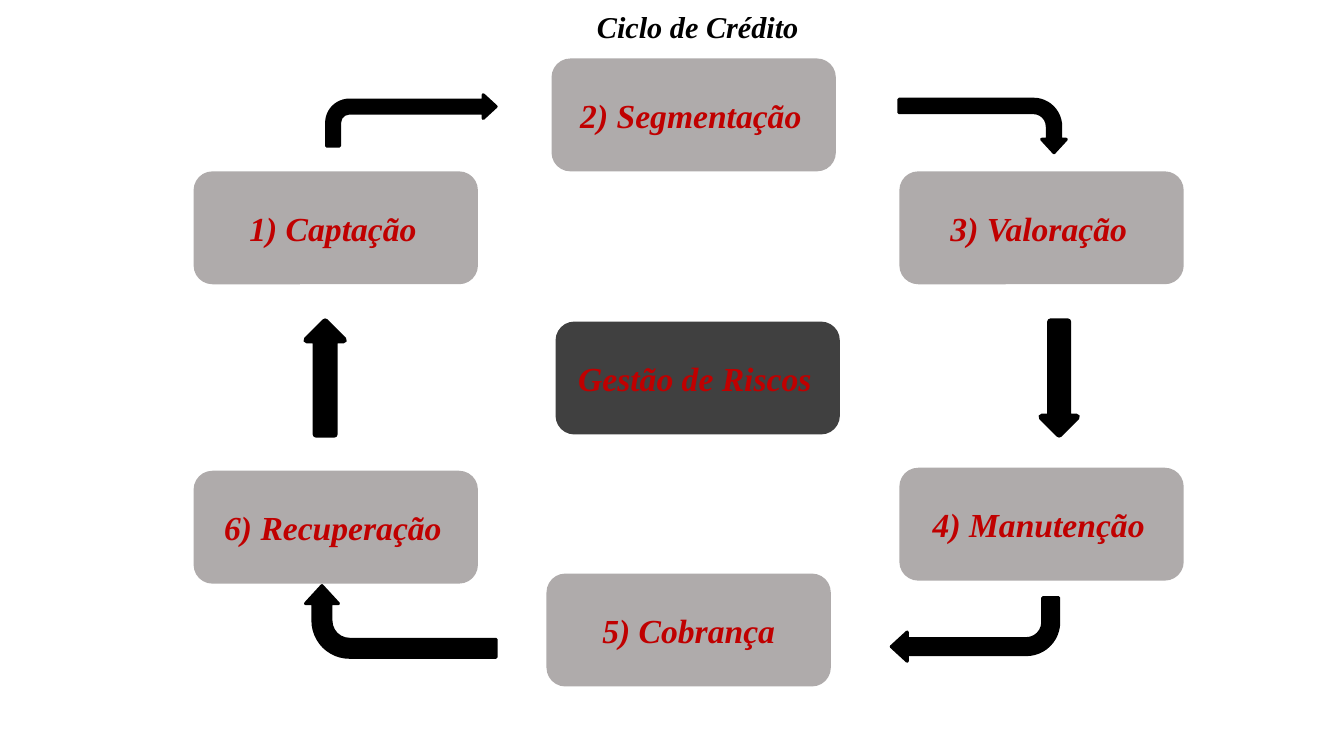
"""Build the credit cycle slide: six stages joined by arrows around risk management."""
from pptx import Presentation
from pptx.dml.color import RGBColor
from pptx.enum.shapes import MSO_SHAPE
from pptx.enum.text import MSO_ANCHOR, MSO_AUTO_SIZE, PP_ALIGN
from pptx.util import Inches, Pt

ROUNDED, DOWN, BENT = MSO_SHAPE.ROUNDED_RECTANGLE, MSO_SHAPE.DOWN_ARROW, MSO_SHAPE.BENT_ARROW
CENTER, MIDDLE, BOTTOM = PP_ALIGN.CENTER, MSO_ANCHOR.MIDDLE, MSO_ANCHOR.BOTTOM
NO_FIT = MSO_AUTO_SIZE.NONE

THEME = {
    "black": RGBColor(0x00, 0x00, 0x00),
    "red": RGBColor(0xC0, 0x00, 0x00),
    "gray": RGBColor(0xAF, 0xAB, 0xAB),
    "dark": RGBColor(0x40, 0x40, 0x40),
    "title": {"name": "Times New Roman", "size": Pt(21.6), "bold": True, "italic": True},
    "label": {"name": "Times New Roman", "size": Pt(24), "bold": True, "italic": True},
    "space": {"name": "Calibri", "size": Pt(18), "bold": False, "italic": False},
}


def add_span(para, text, style, color):
    span = para.add_run()
    span.text = text
    for key, value in THEME[style].items():
        setattr(span.font, key, value)
    span.font.color.rgb = THEME[color]


def add_filled(kind, left, top, width, height, color):
    shape = page.shapes.add_shape(kind, Inches(left), Inches(top), Inches(width), Inches(height))
    shape.shadow.inherit = False
    shape.fill.solid()
    shape.fill.fore_color.rgb = THEME[color]
    return shape


deck = Presentation()
deck.slide_width, deck.slide_height = Inches(13.33), Inches(7.5)
page = deck.slides.add_slide(deck.slide_layouts[0])
subtitle = page.placeholders[1].element
subtitle.getparent().remove(subtitle)

title = page.shapes.title
place = {"left": 3.84, "top": 0.14, "width": 6.16, "height": 0.36}
for side, length in place.items():
    setattr(title, side, Inches(length))
frame = title.text_frame
frame.auto_size, frame.vertical_anchor = NO_FIT, BOTTOM
para = frame.paragraphs[0]
para.alignment, para.line_spacing = CENTER, 0.9
add_span(para, "Ciclo de Crédito", "title", "black")

BOX_WIDTH, BOX_HEIGHT = 2.82, 1.12
LEFT_COLUMN, RIGHT_COLUMN = 1.92, 8.92
boxes = [
    ("1) Captação", " ", LEFT_COLUMN, 1.7, "gray"),
    ("2) Segmentação", " ", 5.47, 0.58, "gray"),
    ("3) Valoração", " ", RIGHT_COLUMN, 1.7, "gray"),
    ("4) Manutenção", " ", RIGHT_COLUMN, 4.64, "gray"),
    ("5) Cobrança", "", 5.42, 5.69, "gray"),
    ("6) Recuperação", " ", LEFT_COLUMN, 4.67, "gray"),
    ("Gestão de Riscos", " ", 5.51, 3.19, "dark"),
]
for label, tail, left, top, color in boxes:
    box = add_filled(ROUNDED, left, top, BOX_WIDTH, BOX_HEIGHT, color)
    box.line.fill.background()
    box.text_frame.vertical_anchor = MIDDLE
    para = box.text_frame.paragraphs[0]
    para.alignment = CENTER
    add_span(para, label, "label", "red")
    if tail:
        add_span(para, tail, "space", "red")

arrows = [
    (DOWN, 10.33, 3.19, 0.35, 1.12, 0, 4.5, []),
    (DOWN, 3.04, 3.19, 0.37, 1.12, 180, 4.5, []),
    (BENT, 3.24, 0.94, 1.68, 0.51, 0, 2.25, [0.25, 0.23, 0.25, 0.44]),
    (BENT, 9.48, 0.42, 0.53, 1.66, 90, 2.25, [0.25, 0.23, 0.25, 0.51]),
    (BENT, 8.84, 5.93, 1.66, 0.63, 180, 2.25, [0.25, 0.23, 0.25, 0.51]),
    (BENT, 3.62, 5.22, 0.71, 1.89, 270, 2.25, [0.25, 0.23, 0.25, 0.51]),
]
for kind, left, top, width, height, angle, weight, bends in arrows:
    arrow = add_filled(kind, left, top, width, height, "black")
    arrow.rotation = angle
    arrow.line.color.rgb = THEME["black"]
    arrow.line.width = Pt(weight)
    for index, bend in enumerate(bends):
        arrow.adjustments[index] = bend

deck.save("out.pptx")
